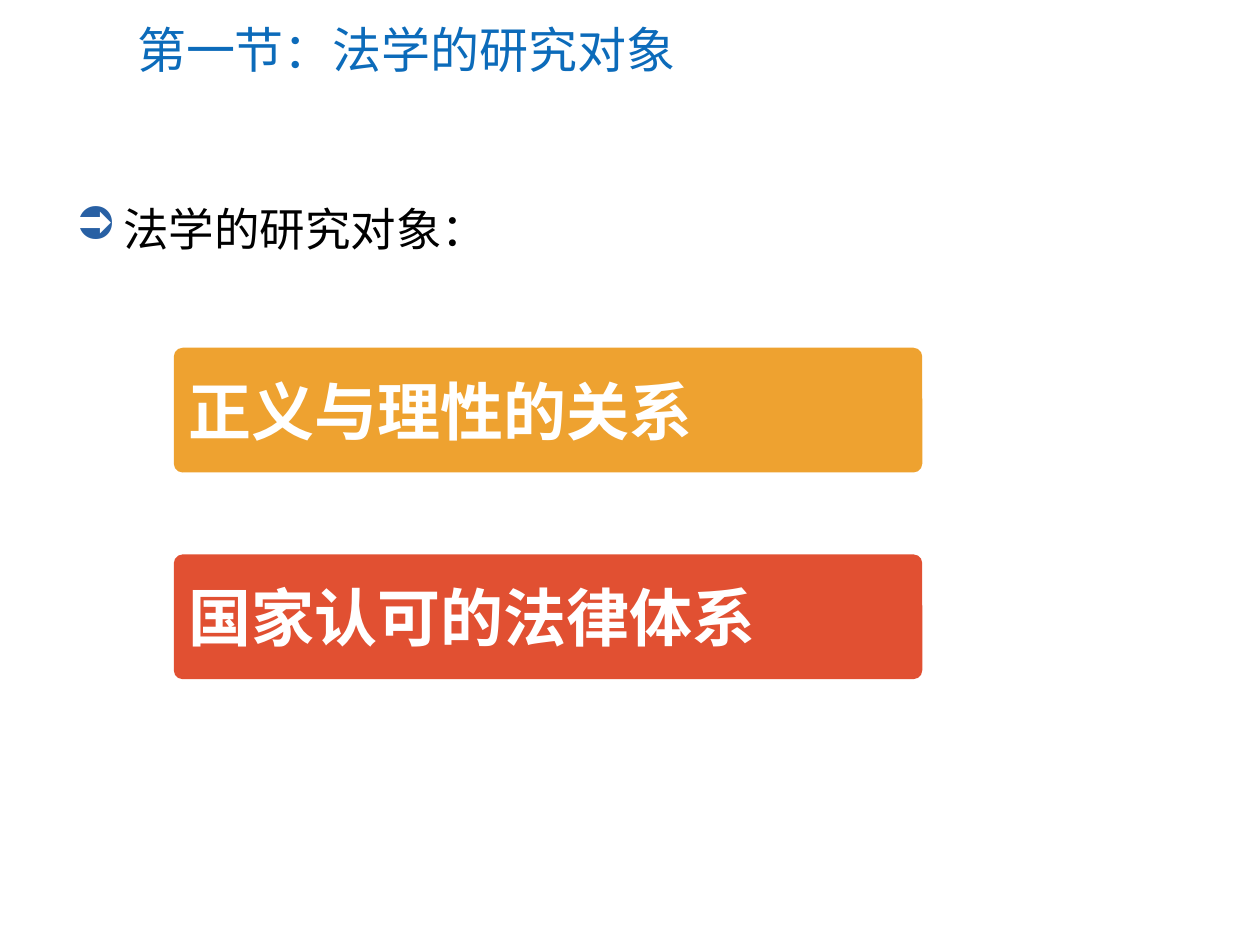
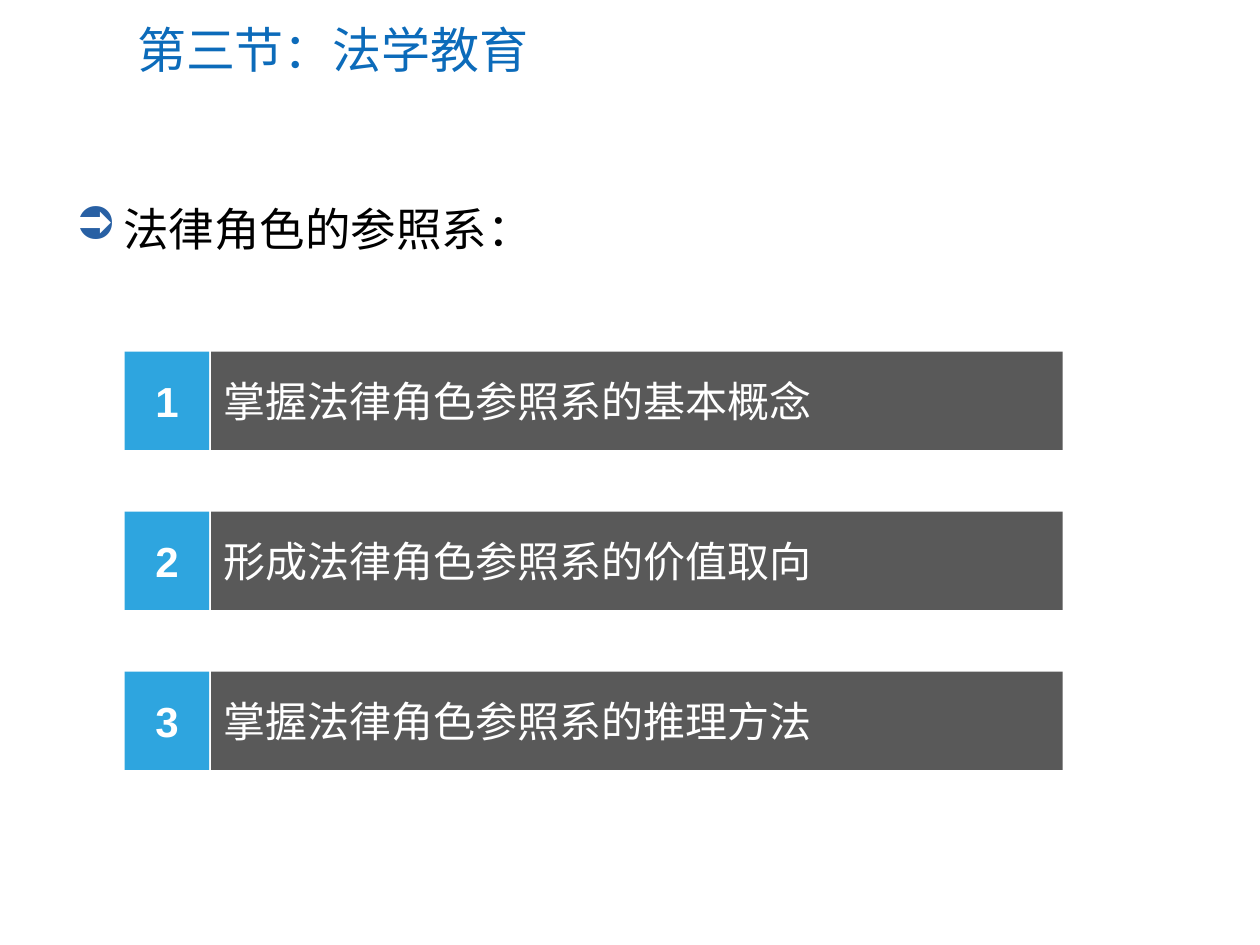
from dataclasses import dataclass

from lxml.etree import SubElement
from pptx import Presentation
from pptx.dml.color import RGBColor
from pptx.enum.shapes import MSO_SHAPE
from pptx.enum.text import MSO_ANCHOR, PP_ALIGN
from pptx.oxml.ns import qn
from pptx.util import Inches, Pt


@dataclass(frozen=True)
class Theme:
    title: str = "0C6BBA"
    body: str = "000000"
    bullet: str = "2860A4"
    light: str = "FFFFFF"
    amber: str = "EEA230"
    red: str = "E15032"
    number: str = "2EA5DF"
    bar: str = "595959"
    title_size: int = 28
    lead_size: int = 26
    panel_size: int = 36
    item_size: int = 24
    text_font: str = "Calibri"
    number_font: str = "Arial"


THEME = Theme()

# Grid: 100 columns by 75 rows, each cell a tenth of an inch
COLUMNS, ROWS = 100, 75
CELL = Inches(0.1)


def place(column, row, width, height):
    return [round(cells * CELL) for cells in (column, row, width, height)]


def set_all(target, values):
    for name, value in values.items():
        setattr(target, name, value)


def write(box, text, size, color, font=THEME.text_font, bold=False,
          align=PP_ALIGN.LEFT, anchor=MSO_ANCHOR.MIDDLE):
    """Put one formatted line in a box and return its paragraph."""
    set_all(box.text_frame, {"word_wrap": True, "vertical_anchor": anchor})
    para = box.text_frame.paragraphs[0]
    para.alignment = align
    span = para.add_run()
    span.text = text
    set_all(span.font, {"size": Pt(size), "name": font, "bold": bold})
    span.font.color.rgb = RGBColor.from_string(color)
    return para


def space_before(para, percent=20):
    spacing = SubElement(para._p.get_or_add_pPr(), qn("a:spcBef"))
    SubElement(spacing, qn("a:spcPct"), val=str(percent * 1000))


def add_bullet(para, character="➲", indent=Inches(0.38)):
    properties = para._p.get_or_add_pPr()
    properties.set("marL", str(indent))
    properties.set("indent", str(-indent))
    color = SubElement(properties, qn("a:buClr"))
    SubElement(color, qn("a:srgbClr"), val=THEME.bullet)
    SubElement(properties, qn("a:buChar"), char=character)


def add_block(shapes, kind, area, fill, text, size, **style):
    """Draw a filled shape without outline, holding one light line."""
    block = shapes.add_shape(kind, *place(*area))
    block.shadow.inherit = False
    block.fill.solid()
    block.fill.fore_color.rgb = RGBColor.from_string(fill)
    block.line.fill.background()
    space_before(write(block, text, size, THEME.light, **style))
    return block


def add_page(deck, title, lead, lead_height):
    """Start a page with the shared title and bulleted lead line."""
    page = deck.slides.add_slide(deck.slide_layouts[6])
    title_box = page.shapes.add_textbox(*place(9.9, 1, 87.2, 5.8))
    write(title_box, title, THEME.title_size, THEME.title)
    lead_box = page.shapes.add_textbox(*place(5, 15.5, 90, lead_height))
    para = write(lead_box, lead, THEME.lead_size, THEME.body,
                 anchor=MSO_ANCHOR.TOP)
    space_before(para)
    add_bullet(para)
    return page


def add_panels(page, panels, top=27.6, pitch=16.4):
    for index, (text, fill) in enumerate(panels):
        area = (13.8, top + index * pitch, 59.4, 9.9)
        panel = add_block(page.shapes, MSO_SHAPE.ROUNDED_RECTANGLE, area,
                          fill, text, THEME.panel_size, bold=True)
        panel.adjustments[0] = 0.07


def add_numbered_bars(page, items, top=27.9, pitch=12.7):
    for index, text in enumerate(items):
        row = top + index * pitch
        group = page.shapes.add_group_shape()
        add_block(group.shapes, MSO_SHAPE.RECTANGLE, (9.9, row, 6.7, 7.8),
                  THEME.number, str(index + 1), THEME.item_size, bold=True,
                  font=THEME.number_font, align=PP_ALIGN.CENTER)
        add_block(group.shapes, MSO_SHAPE.RECTANGLE, (16.75, row, 67.6, 7.8),
                  THEME.bar, text, THEME.item_size)


def main():
    deck = Presentation()
    set_all(deck, {"slide_width": COLUMNS * CELL, "slide_height": ROWS * CELL})

    # Section one: subject of study
    page = add_page(deck, "第一节：法学的研究对象", "法学的研究对象：", 7.5)
    add_panels(page, [("正义与理性的关系", THEME.amber),
                      ("国家认可的法律体系", THEME.red)])

    # Section three: legal education
    page = add_page(deck, "第三节：法学教育", "法律角色的参照系：", 5.9)
    add_numbered_bars(page, ["掌握法律角色参照系的基本概念",
                             "形成法律角色参照系的价值取向",
                             "掌握法律角色参照系的推理方法"])

    deck.save("out.pptx")


main()
